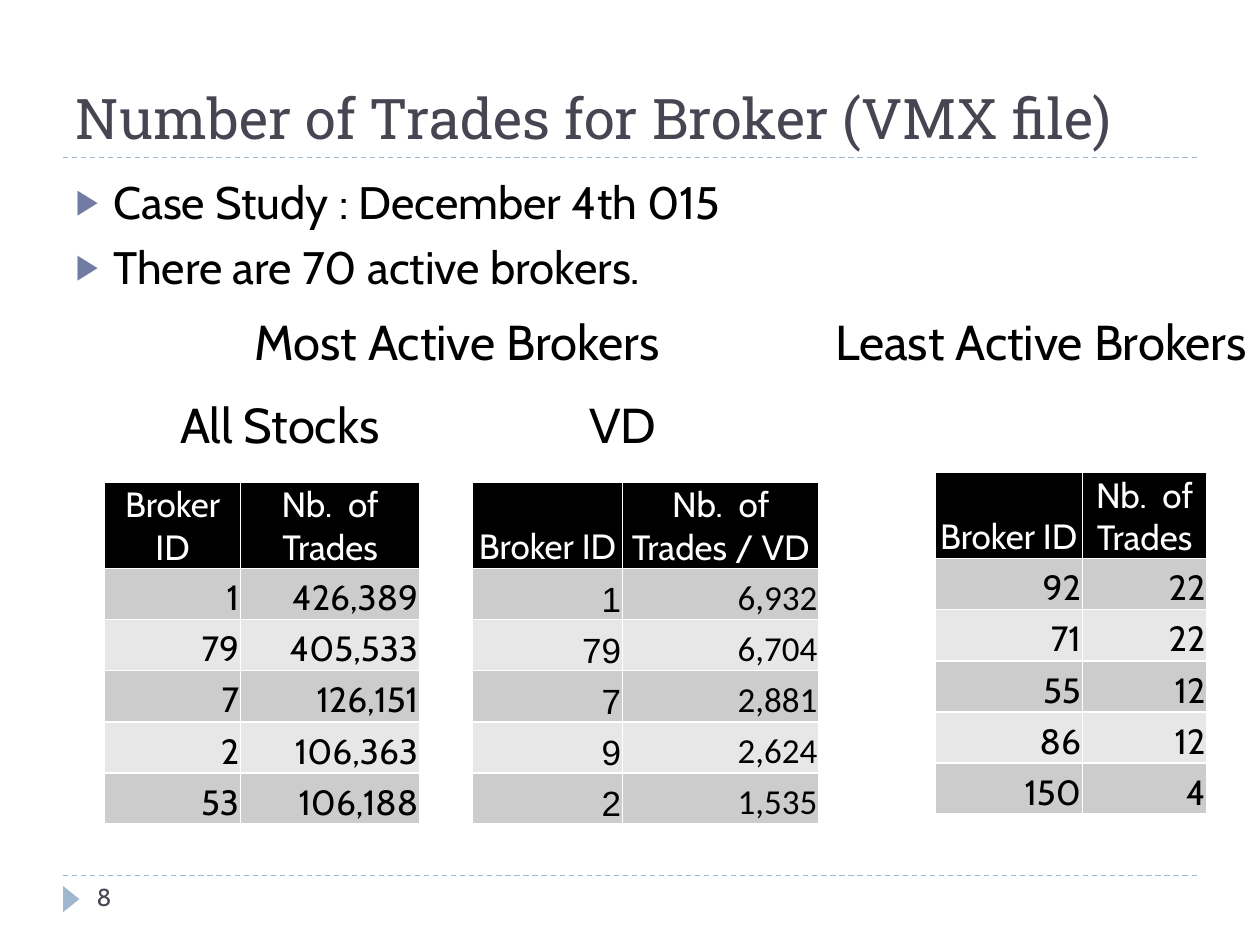
import pptx
import pptx.util
import pptx.dml.color
import pptx.enum.dml
import pptx.enum.shapes
import pptx.enum.text
import lxml.etree
from pptx.util import Cm

MSO = pptx.enum.text.MSO_ANCHOR
ALIGN = pptx.enum.text.PP_ALIGN
A = "{http://schemas.openxmlformats.org/drawingml/2006/main}"


def rgb(hex_colour):
    return pptx.dml.color.RGBColor.from_string(hex_colour)


def write(p, text, size=20, font="Cabin", colour="000000", align=ALIGN.LEFT):
    p.alignment = align
    r = p.add_run()
    r.text = text
    r.font.size = pptx.util.Pt(size)
    r.font.name = font
    r.font.bold = False
    r.font.color.rgb = rgb(colour)


prs = pptx.Presentation()
prs.slide_width, prs.slide_height = Cm(25.4), Cm(19.05)
s = prs.slides.add_slide(prs.slide_layouts[1])

for y in (17.65, 3.18):
    line = s.shapes.add_connector(
        pptx.enum.shapes.MSO_CONNECTOR.STRAIGHT, Cm(1.27), Cm(y), Cm(24.13), Cm(y))
    line.line.color.rgb = rgb("9FB8CD")
    line.line.width = pptx.util.Pt(0.75)
    line.line.dash_style = pptx.enum.dml.MSO_LINE.DASH
    lxml.etree.SubElement(line._element.spPr, A + "effectLst")

sp = s.shapes.add_shape(
    pptx.enum.shapes.MSO_SHAPE.ISOSCELES_TRIANGLE, Cm(1.17), Cm(17.96), Cm(0.53), Cm(0.33))
sp.rotation = 90
sp.shadow.inherit = False
sp.fill.solid()
sp.fill.fore_color.rgb = rgb("9FB8CD")
sp.line.fill.background()

title = s.shapes.title
title.left, title.top, title.width, title.height = Cm(1.27), Cm(0.43), Cm(22.86), Cm(2.74)
title.text_frame.vertical_anchor = MSO.BOTTOM
title.text_frame.auto_size = pptx.enum.text.MSO_AUTO_SIZE.NONE
write(title.text_frame.paragraphs[0], "Number of Trades for Broker (VMX file)",
      size=32, font="Roboto Slab", colour="464653")

body = s.placeholders[1]
body.left, body.top, body.width, body.height = Cm(1.27), Cm(3.38), Cm(22.86), Cm(2.74)
tf = body.text_frame
tf.auto_size = pptx.enum.text.MSO_AUTO_SIZE.NONE
for i, text in enumerate(["Case Study : December 4th 015", "There are 70 active brokers."]):
    p = tf.add_paragraph() if i else tf.paragraphs[0]
    write(p, text, size=26)
    p.space_before = pptx.util.Pt(6)
    pPr = p._p.get_or_add_pPr()
    pPr.set("marL", str(Cm(0.76)))
    pPr.set("indent", str(-Cm(0.76)))
    clr = lxml.etree.SubElement(pPr, A + "buClr")
    lxml.etree.SubElement(clr, A + "srgbClr", val="727CA3")
    lxml.etree.SubElement(pPr, A + "buSzPct", val="76000")
    lxml.etree.SubElement(pPr, A + "buFont", typeface="Arial")
    lxml.etree.SubElement(pPr, A + "buChar", char="▶")

labels = [
    ("Most Active Brokers", 4.88, 6.15, 8.74, 1.45, 28, "000000", False),
    ("Least Active Brokers", 16.59, 6.15, 8.81, 1.45, 28, "000000", False),
    ("All Stocks", 3.38, 7.82, 4.65, 1.45, 28, "000000", True),
    ("VD", 11.63, 7.82, 2.54, 1.45, 28, "000000", True),
    ("8", 1.7, 17.65, 5.51, 1.02, 14, "464653", True),
]
for text, x, y, w, h, size, colour, wrap in labels:
    tf = s.shapes.add_textbox(Cm(x), Cm(y), Cm(w), Cm(h)).text_frame
    tf.word_wrap = wrap
    write(tf.paragraphs[0], text, size=size, colour=colour)

tables = [
    (2.11, 9.73, (2.74, 3.61), ("Cabin", "Cabin"),
     [("Broker ID", "Nb.  of Trades"), ("1", "426,389"), ("79", "405,533"),
      ("7", "126,151"), ("2", "106,363"), ("53", "106,188")]),
    (9.53, 9.73, (3.02, 3.96), ("Arial", "Calibri"),
     [("Broker ID", "Nb.  of Trades / VD"), ("1", "6,932"), ("79", "6,704"),
      ("7", "2,881"), ("9", "2,624"), ("2", "1,535")]),
    (18.85, 9.53, (2.97, 2.51), ("Cabin", "Cabin"),
     [("Broker ID", "Nb.  of Trades"), ("92", "22"), ("71", "22"),
      ("55", "12"), ("86", "12"), ("150", "4")]),
]
for x, y, widths, fonts, rows in tables:
    table = s.shapes.add_table(
        len(rows), 2, Cm(x), Cm(y), Cm(sum(widths)), Cm(6.88)).table
    for col, width in zip(table.columns, widths):
        col.width = Cm(width)
    for i, row in enumerate(rows):
        table.rows[i].height = Cm(1.03 if i else 1.73)
        for j, text in enumerate(row):
            cell = table.cell(i, j)
            cell.vertical_anchor = MSO.BOTTOM
            cell.margin_left = cell.margin_right = cell.margin_top = Cm(0.03)
            cell.margin_bottom = 0
            cell.fill.solid()
            p = cell.text_frame.paragraphs[0]
            if i == 0:
                cell.fill.fore_color.rgb = rgb("000000")
                write(p, text, colour="FFFFFF", align=ALIGN.CENTER)
            else:
                cell.fill.fore_color.rgb = rgb("CCCCCC" if i % 2 else "E7E7E7")
                write(p, text, font=fonts[j], align=ALIGN.RIGHT)

prs.save("out.pptx")
